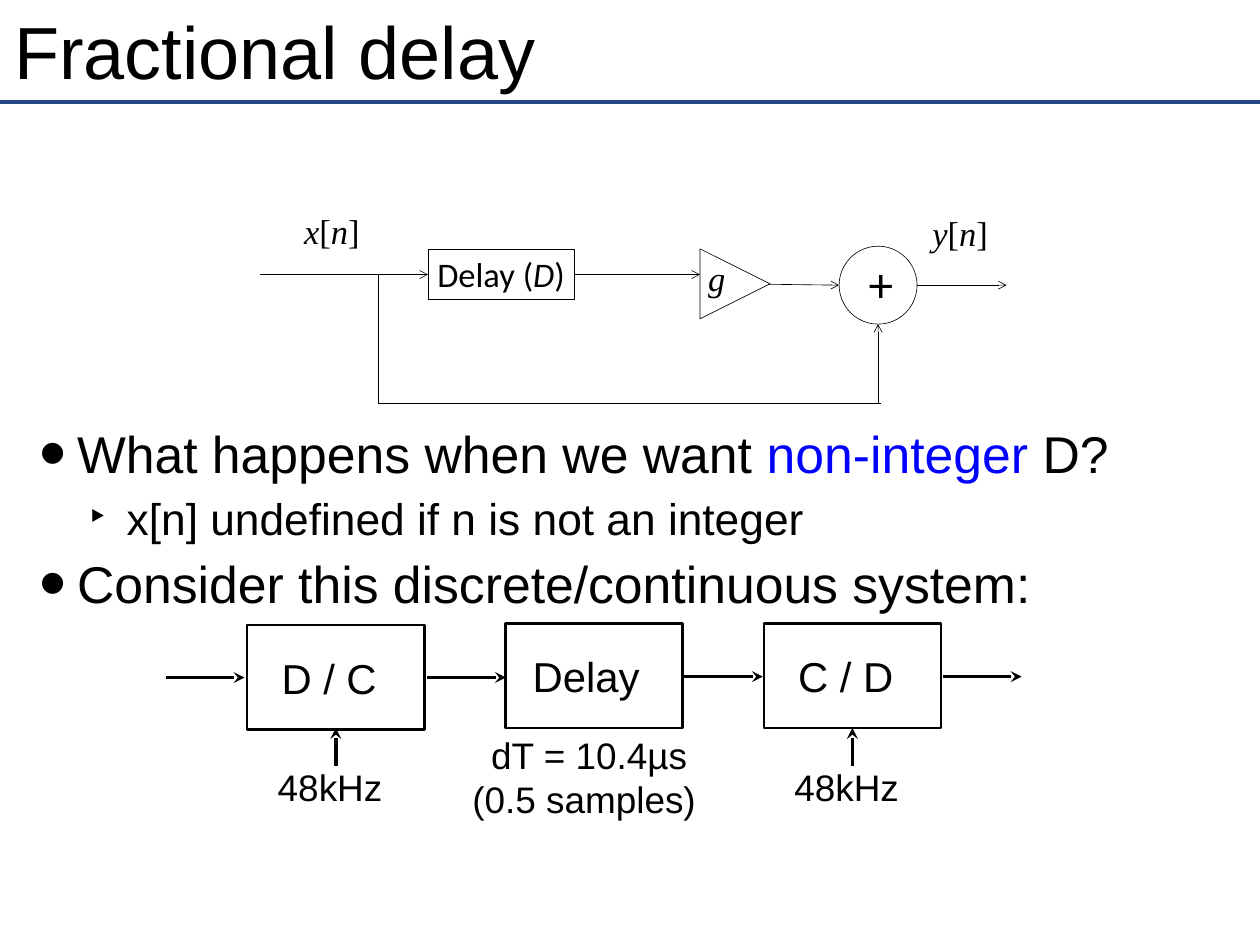
"""Build the "Fractional delay" slide with its two signal-flow diagrams."""
from lxml import etree
from pptx import Presentation, util as u
from pptx.dml.color import RGBColor
from pptx.enum import shapes, text
from pptx.oxml.ns import qn

BLACK = RGBColor(0, 0, 0)
BLUE = RGBColor(0, 0, 255)
NAVY = RGBColor(0x25, 0x47, 0x89)
WIDTH, HEIGHT = u.Inches(14.22), u.Inches(10.67)
COLS, ROWS = 142.2, 106.7
TOP, MIDDLE = text.MSO_ANCHOR.TOP, text.MSO_ANCHOR.MIDDLE
LEFT, CENTER = text.PP_ALIGN.LEFT, text.PP_ALIGN.CENTER
KINDS = shapes.MSO_SHAPE
ITALIC = {"italic": True}
PAD = (1, 0.5)
SMALL_PAD = (0.6, 0.6)
MATH = {"name": "Times New Roman", "size": u.Pt(28)}


class Board:
    """Hold the text style and the current slide, and draw on its grid."""

    def __init__(self, slide):
        self.s = slide
        self.font = {"name": "Arial", "size": u.Pt(34), "italic": False}

    def grid(self, *cells):
        spans = (WIDTH / COLS, HEIGHT / ROWS)
        return [u.Emu(round(c * spans[i % 2])) for i, c in enumerate(cells)]

    def fill_text(self, tf, paras, font, pad=(0, 0), anchor=MIDDLE, align=CENTER, wrap=False):
        px, py = self.grid(*pad)
        layout = {"margin_left": px, "margin_right": px, "margin_top": py,
                  "margin_bottom": py, "vertical_anchor": anchor, "word_wrap": wrap,
                  "auto_size": text.MSO_AUTO_SIZE.NONE}
        for key, value in layout.items():
            setattr(tf, key, value)
        for i, runs in enumerate(paras):
            p = tf.paragraphs[0] if i == 0 else tf.add_paragraph()
            p.alignment = align
            for words, changes in runs:
                r = p.add_run()
                r.text = words
                style = {**self.font, **font, **changes}
                r.font.color.rgb = style.pop("color", BLACK)
                for key, value in style.items():
                    setattr(r.font, key, value)
        return tf

    def label(self, box, paras, font=None, **layout):
        sp = self.s.shapes.add_textbox(*self.grid(*box))
        return self.fill_text(sp.text_frame, paras, font or {}, **layout)

    def shape(self, kind, box, weight, turn=0):
        sp = self.s.shapes.add_shape(kind, *self.grid(*box))
        sp.shadow.inherit = False
        sp.fill.background()
        sp.line.color.rgb = BLACK
        sp.line.width = u.Pt(weight)
        sp.rotation = turn
        return sp

    def line(self, ends, weight, arrow=None, color=BLACK):
        c = self.s.shapes.add_connector(shapes.MSO_CONNECTOR.STRAIGHT, *self.grid(*ends))
        c.line.color.rgb = color
        c.line.width = u.Pt(weight)
        if arrow:
            ln = c._element.spPr.find(qn("a:ln"))
            etree.SubElement(ln, qn("a:tailEnd"), type=arrow)
        etree.SubElement(c._element.spPr, qn("a:effectLst"))

    def bullet(self, p, char, indent, percent):
        pPr = p._p.get_or_add_pPr()
        pPr.set("marL", str(int(self.grid(indent)[0])))
        pPr.set("indent", str(int(self.grid(-4.2)[0])))
        etree.SubElement(pPr, qn("a:buSzPct"), val=str(percent * 1000))
        etree.SubElement(pPr, qn("a:buFont"), typeface="Arial")
        etree.SubElement(pPr, qn("a:buChar"), char=char)


def add_text(b):
    b.line((0, 11.5, COLS, 11.5), 3, color=NAVY)
    b.label((1, 0.6, 140.1, 10.1), [[("Fractional delay", {})]], {"size": u.Pt(60)},
            pad=SMALL_PAD, align=LEFT, wrap=True)
    big, small = {"size": u.Pt(42)}, {"size": u.Pt(36)}
    tf = b.label((1.2, 47, 140.1, 22), [
        [("What happens when we want ", big), ("non-integer ", {**big, "color": BLUE}),
         ("D?", big)],
        [("x[n] undefined if n is not an integer", small)],
        [("Consider this discrete/continuous system:", big)],
    ], pad=SMALL_PAD, anchor=TOP, align=LEFT, wrap=True)
    bullets = [("•", 6.9, 150), ("‣", 12.5, 100), ("•", 6.9, 150)]
    for i, (p, mark) in enumerate(zip(tf.paragraphs, bullets)):
        b.bullet(p, *mark)
        if i:
            p.space_before = u.Pt(6)


def add_system(b):
    pitch, first = 29.15, 27.9
    stages = [("D / C", 70.6, 3.9, 10.7), ("Delay", 70.4, 3.1, 12),
              ("C / D", 70.4, 3.9, 10.7)]
    for i, (name, row, inset, width) in enumerate(stages):
        left = first + i * pitch
        b.shape(KINDS.RECTANGLE, (left, row, 20, 11.8), 2)
        b.label((left + inset, row + 2.7, width, 6.4), [[(name, {})]])
    for col, row in [(18.7, 76.5), (48.2, 76.5), (77.2, 76.4), (106.4, 76.4)]:
        b.line((col, row, col + 8.9, row), 3, "stealth")
    note = {"size": u.Pt(30)}
    for col in (37.9, 96.2):
        b.line((col, 86.5, col, 82.2), 3, "stealth")
        b.label((col - 6.5, 86, 11.7, 5.7), [[("48kHz", {})]], note)
    b.label((53.4, 82.5, 26.2, 10.4),
            [[("dT = 10.4µs", {})], [("(0.5 samples) ", {})]], note)


def add_comb_filter(b):
    thin = 0.5
    b.shape(KINDS.OVAL, (94.7, 27.8, 8.8, 8.8), thin)
    b.shape(KINDS.ISOSCELES_TRIANGLE, (79, 28.1, 7.9, 7.9), thin, turn=90)
    sans = {"name": "Calibri", "size": u.Pt(28)}
    sp = b.shape(KINDS.RECTANGLE, (48.3, 28.1, 16.5, 5.7), thin)
    b.fill_text(sp.text_frame, [[("Delay (", {}), ("D", ITALIC), (")", {})]], sans,
                pad=PAD, anchor=TOP)
    b.label((97, 28.1, 4.8, 7.7), [[("+", {})]], {**sans, "size": u.Pt(40)},
            pad=PAD, anchor=TOP)
    for name, col, row in [("x", 33.3, 23.2), ("y", 104.2, 23.4)]:
        b.label((col, row, 8.3, 5.7),
                [[(name, ITALIC), ("[", {}), ("n", ITALIC), ("]", {})]],
                MATH, pad=PAD, anchor=TOP)
    b.label((78.9, 28.5, 4, 5.7), [[("g", ITALIC)]], MATH, pad=PAD, anchor=TOP)
    for ends in [(29.4, 31, 48.3, 31), (64.8, 31, 79, 31), (86.8, 32.1, 94.7, 32.2),
                 (103.5, 32.2, 113.6, 32.2), (99.1, 45.5, 99.1, 36.6)]:
        b.line(ends, thin, "arrow")
    for ends in [(42.7, 31.1, 42.7, 45.5), (42.7, 45.5, 99.4, 45.5)]:
        b.line(ends, thin)


def main():
    prs = Presentation()
    prs.slide_width, prs.slide_height = WIDTH, HEIGHT
    b = Board(prs.slides.add_slide(prs.slide_layouts[6]))
    add_text(b)
    add_system(b)
    add_comb_filter(b)
    prs.save("out.pptx")


if __name__ == "__main__":
    main()
